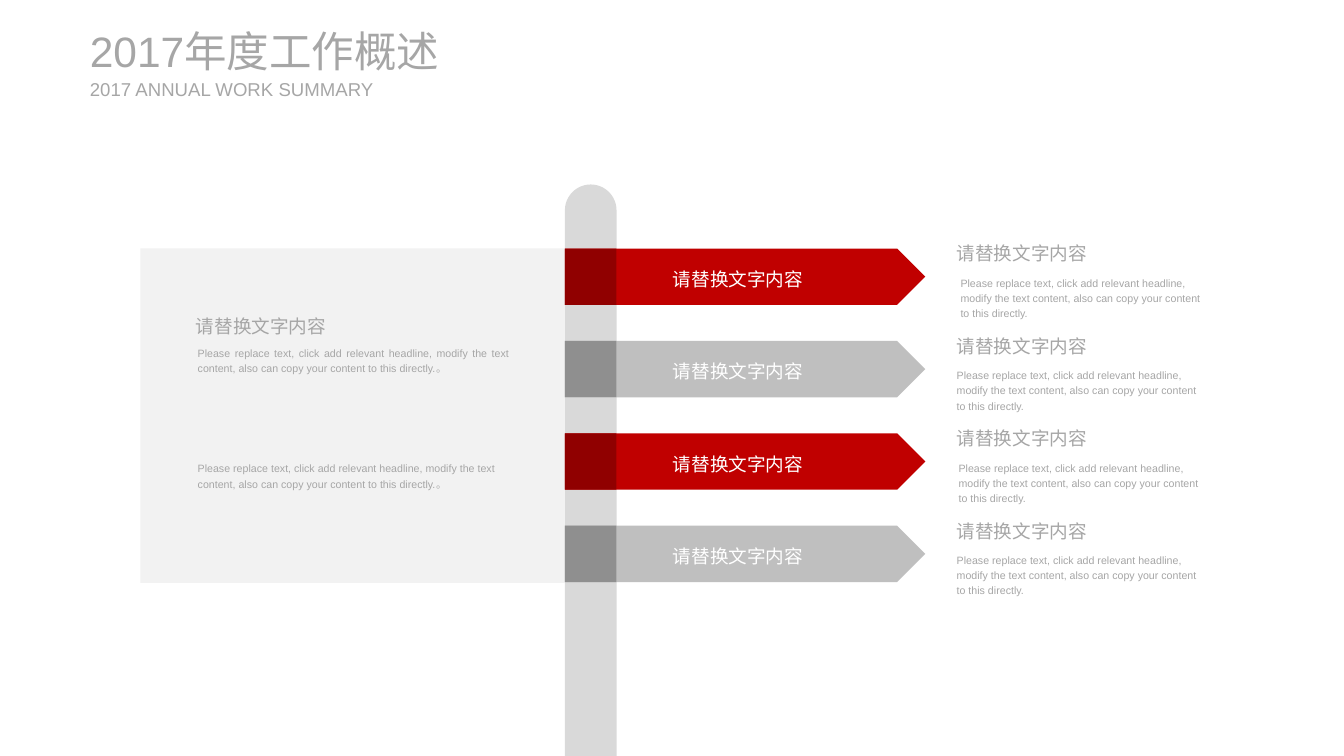
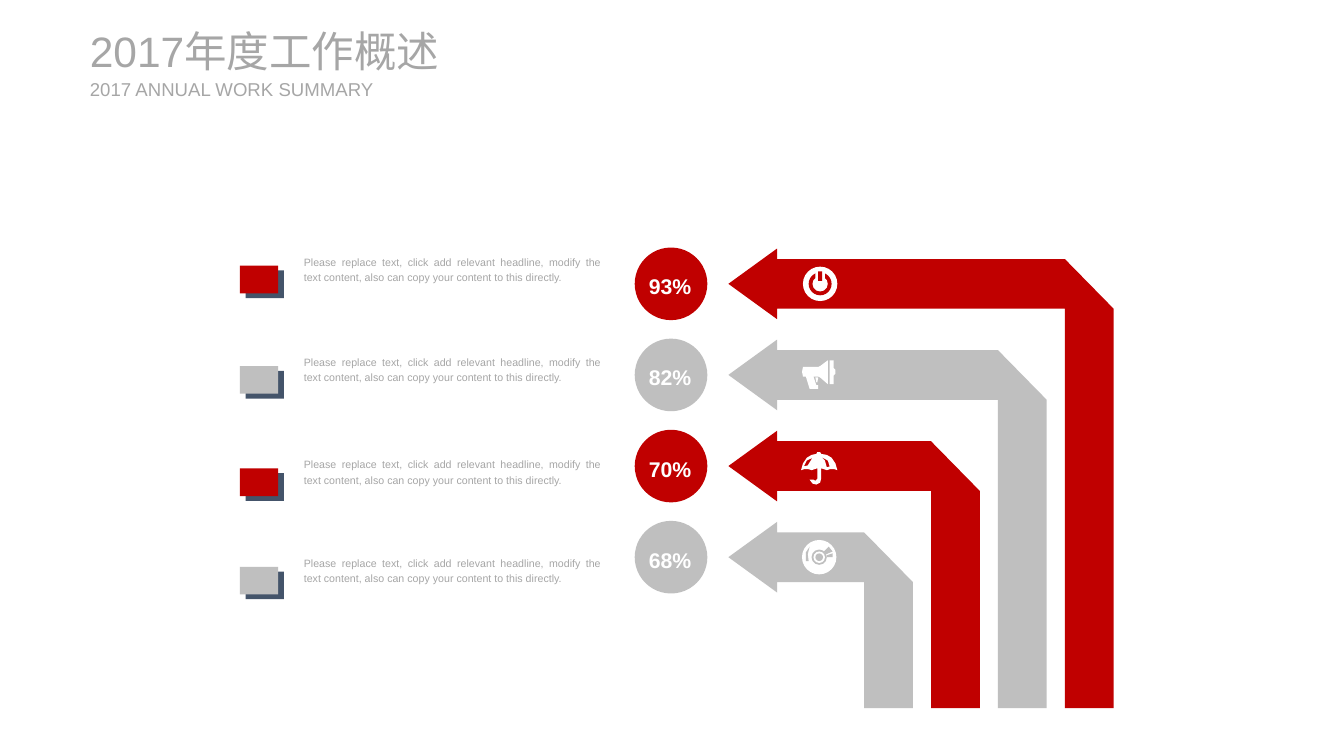
from pptx import Presentation
from pptx.util import Inches, Pt
from pptx.dml.color import RGBColor
from pptx.enum.shapes import MSO_SHAPE
from pptx.enum.text import MSO_ANCHOR, MSO_AUTO_SIZE, PP_ALIGN

RED = RGBColor(0xC0, 0x00, 0x00)
DEEP = RGBColor(0x90, 0x00, 0x00)
SILVER = RGBColor(0xBF, 0xBF, 0xBF)
STEEL = RGBColor(0x8F, 0x8F, 0x8F)
POLE = RGBColor(0xD9, 0xD9, 0xD9)
PALE = RGBColor(0xF2, 0xF2, 0xF2)
GREY = RGBColor(0xA6, 0xA6, 0xA6)
NAVY = RGBColor(0x44, 0x54, 0x6A)
WHITE = RGBColor(0xFF, 0xFF, 0xFF)
FONT = "Arial"
HEAD = "请替换文字内容"
BODY = ("Please replace text, click add relevant headline, modify the text "
        "content, also can copy your content to this directly.")
LEFT, JUST, MID = PP_ALIGN.LEFT, PP_ALIGN.JUSTIFY, PP_ALIGN.CENTER


def block(slide, kind, box, fill):
    shape = slide.shapes.add_shape(kind, *map(Inches, box))
    shape.shadow.inherit = False
    shape.fill.solid()
    shape.fill.fore_color.rgb = fill
    shape.line.fill.background()
    return shape


def label(slide, box, text, size, color=GREY, align=LEFT, wrap=True,
          space=1.2, bold=False, shape=None):
    if shape is None:
        shape = slide.shapes.add_textbox(*map(Inches, box))
        shape.text_frame.auto_size = MSO_AUTO_SIZE.SHAPE_TO_FIT_TEXT
    frame = shape.text_frame
    frame.word_wrap = wrap
    para = frame.paragraphs[0]
    para.alignment = align
    para.line_spacing = space
    run = para.add_run()
    run.text = text
    run.font.name = FONT
    run.font.size = Pt(size)
    run.font.bold = bold
    run.font.color.rgb = color
    return frame


deck = Presentation()
deck.slide_width = Inches(14.06)
deck.slide_height = Inches(7.91)
pages = [deck.slides.add_slide(deck.slide_layouts[5]) for _ in range(2)]

for page in pages:
    title = page.shapes.title
    title.left, title.top = Inches(0.94), Inches(0.26)
    title.width, title.height = Inches(4.32), Inches(0.54)
    title.text_frame.auto_size = MSO_AUTO_SIZE.NONE
    frames = [
        label(page, None, "2017年度工作概述", 32, space=1.0, shape=title),
        label(page, (0.94, 0.81, 3.07, 0.24), "2017 ANNUAL WORK SUMMARY", 14,
              space=1.0),
    ]
    for frame in frames:
        frame.vertical_anchor = MSO_ANCHOR.MIDDLE
        frame.margin_left = frame.margin_right = 0
        frame.margin_top = frame.margin_bottom = 0

signs, stats = pages

pole = block(signs, MSO_SHAPE.ROUND_2_SAME_RECTANGLE, (5.91, 1.93, 0.54, 5.98), POLE)
pole.adjustments[0] = 0.5
block(signs, MSO_SHAPE.RECTANGLE, (1.47, 2.6, 4.44, 3.5), PALE)
label(signs, (1.95, 3.2, 1.68, 0.36), HEAD, 14)
for top, align in ((3.55, JUST), (4.76, LEFT)):
    label(signs, (1.97, top, 3.46, 0.41), BODY + "。", 8, align=align)

for row, left in enumerate((9.95, 9.91, 9.93, 9.91)):
    top = 2.6 + 2.9 * row / 3
    fill, dark = ((RED, DEEP), (SILVER, STEEL))[row % 2]
    sign = block(signs, MSO_SHAPE.PENTAGON, (5.91, top, 3.77, 0.59), fill)
    frame = label(signs, None, HEAD, 14, WHITE, MID, shape=sign)
    frame.vertical_anchor = MSO_ANCHOR.MIDDLE
    block(signs, MSO_SHAPE.RECTANGLE, (5.91, top, 0.54, 0.59), dark)
    label(signs, (9.91, top - 0.16, 1.58, 0.36), HEAD, 14, wrap=False)
    label(signs, (left, top + 0.22, 2.73, 0.57), BODY, 8)

plots = []
rows = (("93%", 2.78), ("82%", 3.83), ("70%", 4.9), ("68%", 5.93))
for row, (rate, top) in enumerate(rows):
    fill = (RED, SILVER)[row % 2]
    for left, drop, color in ((2.57, 0.05, NAVY), (2.51, 0, fill)):
        block(stats, MSO_SHAPE.RECTANGLE, (left, top + drop, 0.4, 0.29), color)
    label(stats, (3.08, top - 0.18, 3.31, 0.41), BODY, 8, align=JUST)
    mid = 2.97 + 2.86 * row / 3
    block(stats, MSO_SHAPE.OVAL, (6.64, mid - 0.38, 0.76, 0.76), fill)
    label(stats, (6.69, mid - 0.21, 0.65, 0.42), rate, 16, WHITE, JUST,
          wrap=False, bold=True)
    edge = 11.65 - 0.7 * row
    side = edge - 0.51
    plots.append((fill, [[
        (7.62, mid), (8.13, mid - 0.37), (8.13, mid - 0.26), (side, mid - 0.26),
        (edge, mid + 0.26), (edge, 7.41), (side, 7.41), (side, mid + 0.26),
        (8.13, mid + 0.26), (8.13, mid + 0.37)]]))

horn = [
    [(8.4, 3.84), (8.56, 3.84), (8.58, 3.83), (8.66, 3.77), (8.66, 4.02),
     (8.58, 3.95), (8.56, 3.94), (8.51, 3.94), (8.54, 4.03), (8.56, 4.03),
     (8.56, 4.07), (8.47, 4.07), (8.43, 3.94), (8.4, 3.94), (8.39, 3.89)],
    [(8.68, 3.77), (8.72, 3.77), (8.72, 3.85), (8.74, 3.87), (8.74, 3.91),
     (8.72, 3.93), (8.72, 4.02), (8.68, 4.02)],
    [(8.53, 3.95), (8.56, 3.95), (8.55, 4.0), (8.54, 4.0)],
]
shade = [
    [(8.38, 4.92), (8.4, 4.85), (8.44, 4.79), (8.49, 4.76), (8.54, 4.75),
     (8.55, 4.73), (8.58, 4.73), (8.59, 4.75), (8.65, 4.76), (8.7, 4.79),
     (8.74, 4.85), (8.76, 4.92), (8.73, 4.91), (8.68, 4.91), (8.65, 4.92),
     (8.62, 4.91), (8.59, 4.9), (8.59, 5.01), (8.58, 5.05), (8.54, 5.07),
     (8.5, 5.06), (8.47, 5.02), (8.51, 5.02), (8.53, 5.03), (8.55, 5.01),
     (8.55, 4.9), (8.52, 4.91), (8.49, 4.92), (8.46, 4.91), (8.41, 4.91)],
    [(8.65, 4.89), (8.68, 4.88), (8.66, 4.82), (8.59, 4.78), (8.63, 4.82)],
    [(8.41, 4.88), (8.45, 4.87), (8.5, 4.79), (8.44, 4.82)],
]
beams = [
    [(8.62, 5.77), (8.67, 5.72), (8.71, 5.77), (8.64, 5.8)],
    [(8.65, 5.81), (8.71, 5.79), (8.71, 5.83), (8.65, 5.83)],
    [(8.47, 5.72), (8.43, 5.78), (8.43, 5.87), (8.46, 5.87), (8.45, 5.8)],
]
plots += [(WHITE, horn), (WHITE, shade)]

rings = (
    (8.58, 2.97, 0.18, WHITE), (8.58, 2.97, 0.12, RED), (8.58, 2.97, 0.08, WHITE),
    (8.57, 5.83, 0.18, WHITE), (8.57, 5.83, 0.08, SILVER),
    (8.57, 5.83, 0.06, WHITE), (8.57, 5.83, 0.04, SILVER),
)
plots.append((SILVER, beams))

for step, (fill, loops) in enumerate(plots):
    if step == len(rows):
        for across, down, size, color in rings:
            block(stats, MSO_SHAPE.OVAL,
                  (across - size, down - size, 2 * size, 2 * size), color)
        block(stats, MSO_SHAPE.RECTANGLE, (8.53, 2.83, 0.1, 0.08), WHITE)
        block(stats, MSO_SHAPE.RECTANGLE, (8.56, 2.84, 0.04, 0.1), RED)
    loops = [[(Inches(x), Inches(y)) for x, y in loop] for loop in loops]
    path = stats.shapes.build_freeform(*loops[0][0])
    path.add_line_segments(loops[0][1:])
    for loop in loops[1:]:
        path.move_to(*loop[0])
        path.add_line_segments(loop[1:])
    shape = path.convert_to_shape()
    shape.shadow.inherit = False
    shape.fill.solid()
    shape.fill.fore_color.rgb = fill
    shape.line.fill.background()

deck.save("out.pptx")
